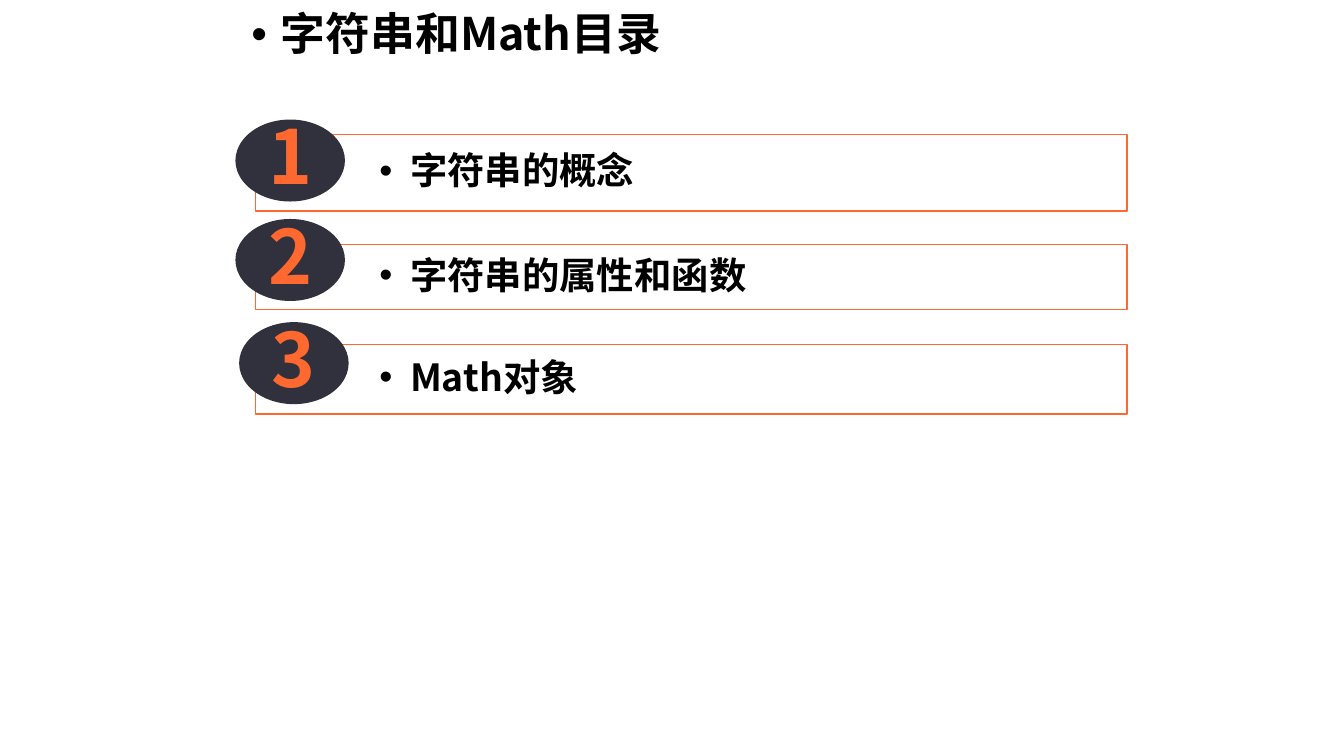
from dataclasses import dataclass

from lxml.etree import SubElement
from pptx import Presentation
from pptx.dml.color import RGBColor
from pptx.enum.shapes import MSO_SHAPE
from pptx.enum.text import MSO_ANCHOR, PP_ALIGN
from pptx.oxml.ns import qn
from pptx.util import Cm, Pt


@dataclass(frozen=True)
class Theme:
    font: str = "Noto Sans CJK SC"
    text: str = "000000"
    accent: str = "FF682F"
    badge: str = "30313C"
    panel: str = "FFFFFF"
    title_size: int = 24
    item_size: int = 20
    number_size: int = 40


def rgb(value):
    return RGBColor.from_string(value)


def write(tf, text, *, font, size, color, after, align=PP_ALIGN.LEFT,
          anchor=MSO_ANCHOR.TOP, insets=(0.25, 0.13, 0.25, 0.13), bullet=None):
    """Write one bold paragraph; bullet is (left margin, hanging) in cm."""
    tf.word_wrap = True
    tf.vertical_anchor = anchor
    tf.margin_left, tf.margin_top, tf.margin_right, tf.margin_bottom = map(Cm, insets)
    p = tf.paragraphs[0]
    if bullet:
        margin, hanging = bullet
        ppr = p._p.get_or_add_pPr()
        ppr.set("marL", str(Cm(margin)))
        ppr.set("indent", str(-Cm(hanging)))
        SubElement(SubElement(ppr, qn("a:buClr")), qn("a:srgbClr"), val=color)
        SubElement(ppr, qn("a:buFont"), typeface="Arial")
        SubElement(ppr, qn("a:buChar"), char="•")
    p.alignment = align
    p.line_spacing = 0.9
    p.space_after = Pt(after)
    r = p.add_run()
    r.text = text
    r.font.name, r.font.size, r.font.bold = font, Pt(size), True
    r.font.color.rgb = rgb(color)
    SubElement(r._r.get_or_add_rPr(), qn("a:ea"), typeface=font)


class Deck:
    def __init__(self, theme):
        self.t = theme
        self.prs = Presentation()
        self.prs.slide_width, self.prs.slide_height = Cm(25.4), Cm(14.29)
        self.s = self.prs.slides.add_slide(self.prs.slide_layouts[6])

    def shape(self, kind, x, y, w, h, fill):
        sp = self.s.shapes.add_shape(kind, Cm(x), Cm(y), Cm(w), Cm(h))
        sp.shadow.inherit = False
        sp.fill.solid()
        sp.fill.fore_color.rgb = rgb(fill)
        return sp

    def title(self, text, x, y, w, h):
        sp = self.s.shapes.add_textbox(Cm(x), Cm(y), Cm(w), Cm(h))
        write(sp.text_frame, text, font=self.t.font, size=self.t.title_size,
              color=self.t.text, after=4.5, bullet=(0.56, 0.56))

    def panel(self, text, x, y, w, h):
        sp = self.shape(MSO_SHAPE.RECTANGLE, x, y, w, h, self.t.panel)
        color = sp._element.spPr.find(qn("a:solidFill")).find(qn("a:srgbClr"))
        SubElement(color, qn("a:alpha"), val="40000")
        sp.line.color.rgb = rgb(self.t.accent)
        sp.line.width = Pt(0.75)
        write(sp.text_frame, text, font=self.t.font, size=self.t.item_size,
              color=self.t.text, after=3.7, anchor=MSO_ANCHOR.MIDDLE,
              insets=(1.65, 0.2, 0.2, 0.2), bullet=(1.27, 0.58))

    def badge(self, number, x, y):
        sp = self.shape(MSO_SHAPE.OVAL, x, y, 2.07, 1.55, self.t.badge)
        sp.line.fill.background()
        write(sp.text_frame, str(number), font=self.t.font, size=self.t.number_size,
              color=self.t.accent, after=7.5, align=PP_ALIGN.CENTER,
              anchor=MSO_ANCHOR.MIDDLE)


def main():
    deck = Deck(Theme())

    # Chapters: text, panel top, panel height, badge left, badge top
    chapters = [
        ("字符串的概念", 2.54, 1.45, 4.45, 2.26),
        ("字符串的属性和函数", 4.62, 1.23, 4.45, 4.14),
        ("Math对象", 6.51, 1.32, 4.52, 6.09),
    ]

    # Outlined panels
    for text, top, height, _, _ in chapters:
        deck.panel(text, 4.83, top, 16.47, height)

    # Heading
    deck.title("字符串和Math目录", 4.5, 0.1, 10.21, 1.17)

    # Numbered badges over the panels
    for number, (_, _, _, left, top) in enumerate(chapters, 1):
        deck.badge(number, left, top)

    deck.prs.save("out.pptx")


if __name__ == "__main__":
    main()
